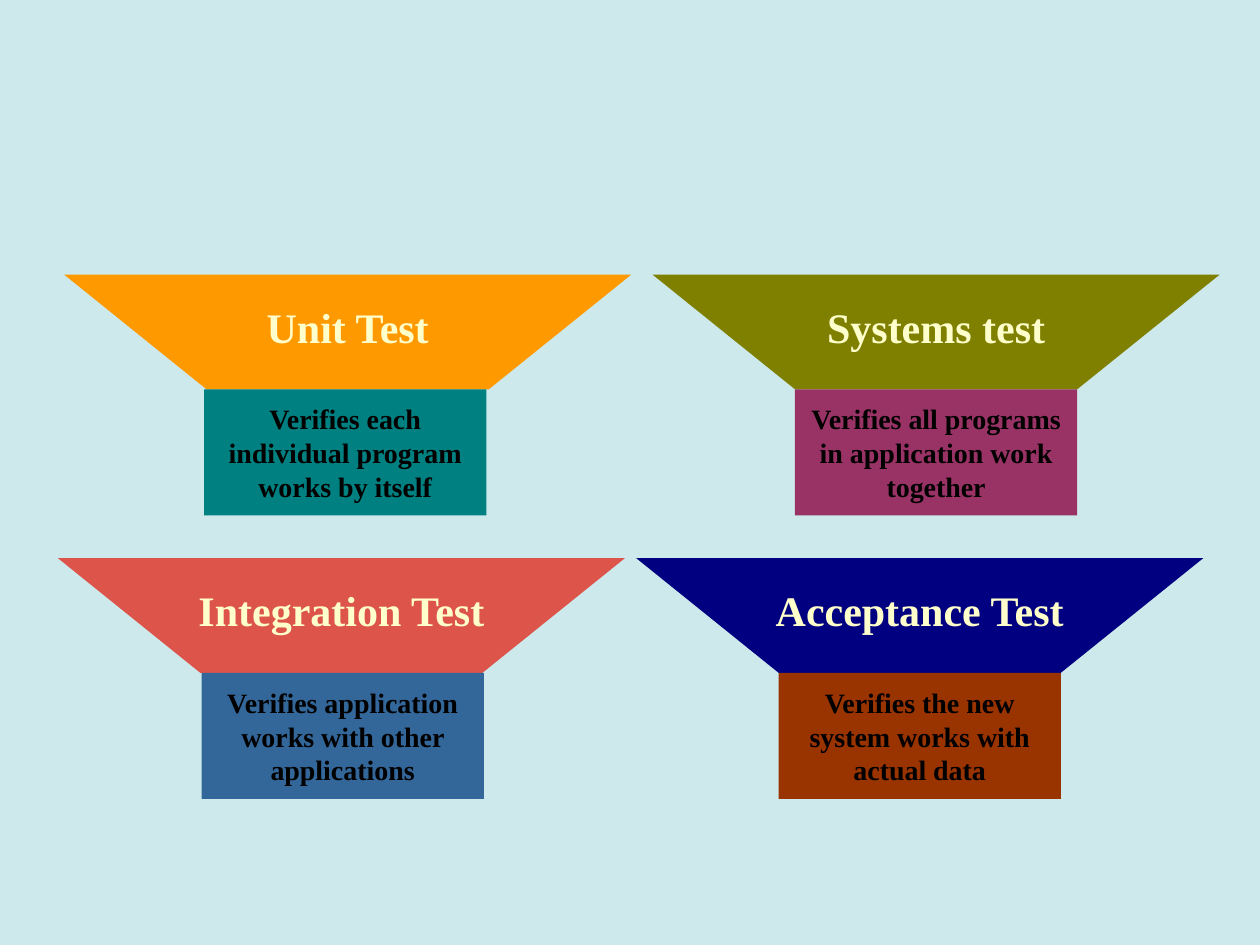
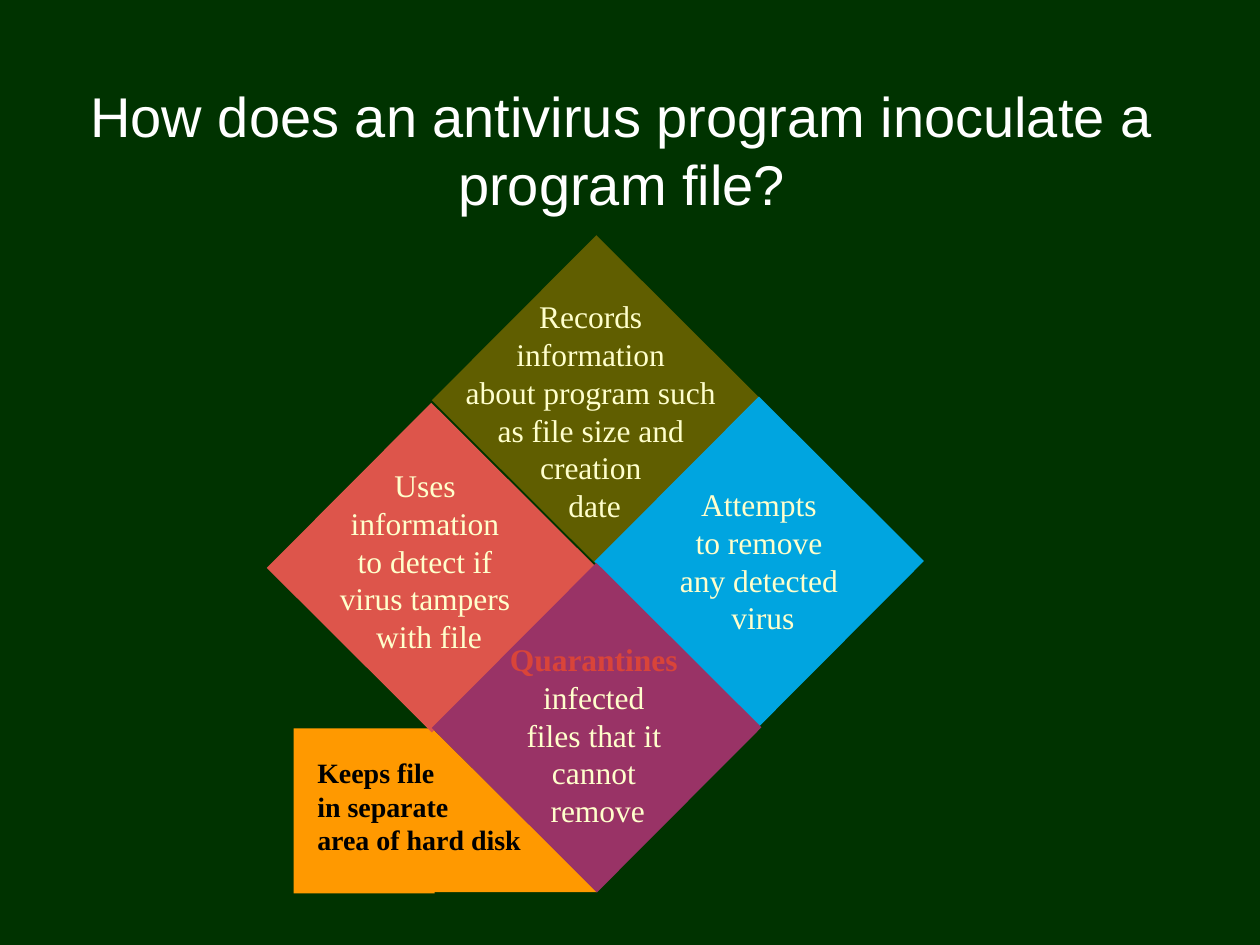
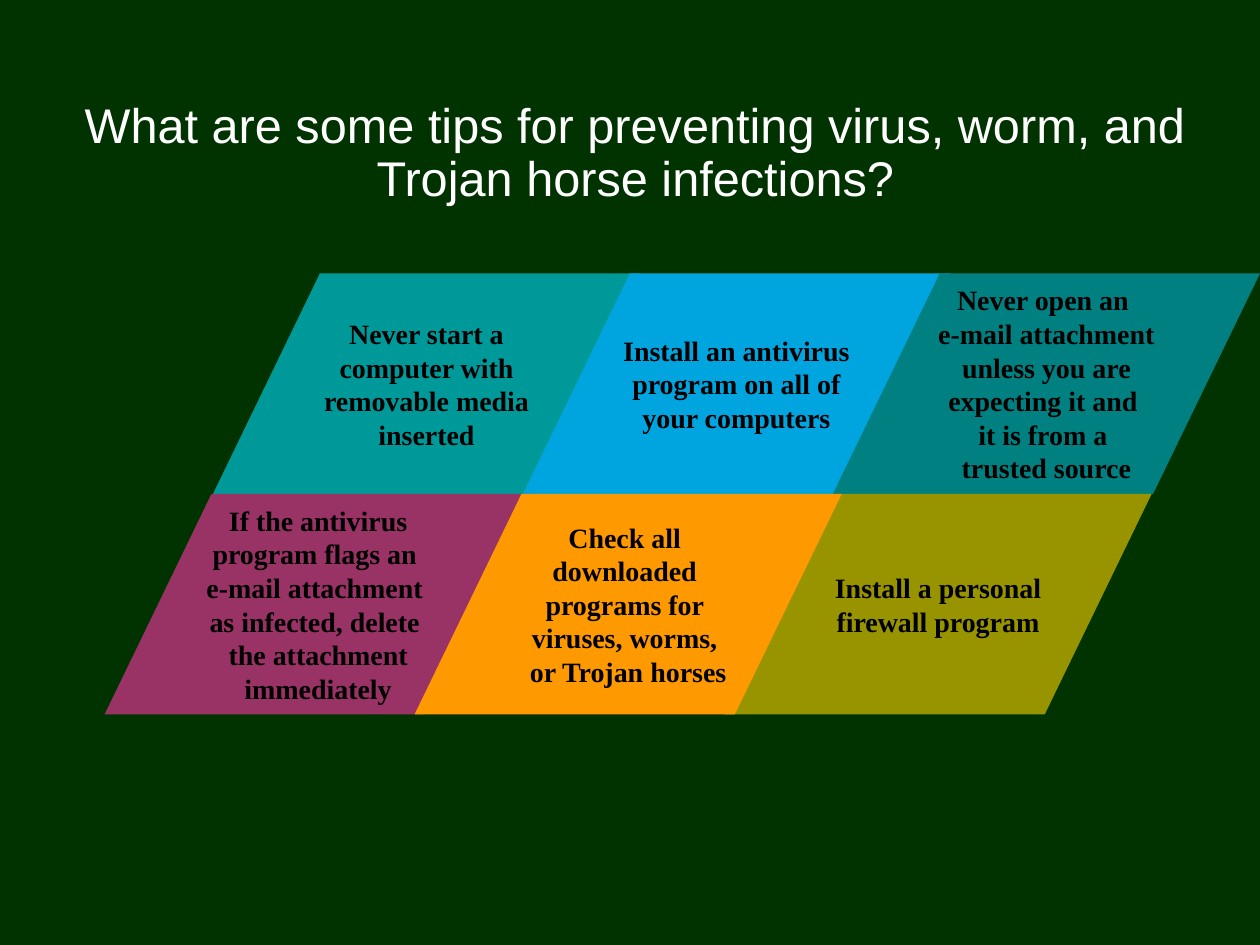
from pptx import Presentation
from pptx.dml.color import RGBColor
from pptx.enum.shapes import MSO_SHAPE
from pptx.enum.text import MSO_ANCHOR, PP_ALIGN
from pptx.util import Inches, Pt

PALE_BLUE = RGBColor(0xCD, 0xE9, 0xEB)
DARK_GREEN = RGBColor(0x00, 0x33, 0x00)
CREAM = RGBColor(0xFF, 0xFF, 0xCC)
WHITE = RGBColor(0xFF, 0xFF, 0xFF)
BLACK = RGBColor(0x00, 0x00, 0x00)
ORANGE = RGBColor(0xFF, 0x99, 0x00)
OLIVE = RGBColor(0x80, 0x80, 0x00)
DARK_OLIVE = RGBColor(0x60, 0x5E, 0x00)
MUSTARD = RGBColor(0x98, 0x94, 0x00)
CORAL = RGBColor(0xDC, 0x54, 0x4A)
LIGHT_CORAL = RGBColor(0xDD, 0x55, 0x4B)
RED = RGBColor(0xD9, 0x44, 0x39)
NAVY = RGBColor(0x00, 0x00, 0x80)
STEEL = RGBColor(0x33, 0x66, 0x99)
SKY = RGBColor(0x00, 0xA5, 0xE0)
TEAL = RGBColor(0x00, 0x80, 0x80)
LIGHT_TEAL = RGBColor(0x00, 0x99, 0x99)
PLUM = RGBColor(0x99, 0x33, 0x66)
BROWN = RGBColor(0x99, 0x33, 0x00)

SERIF = "Times New Roman"
TITLE = {"name": "Arial", "size": Pt(32), "bold": False, "color": WHITE}
SMALL_TITLE = TITLE | {"size": Pt(27.8)}
HEADING = {"name": SERIF, "size": Pt(24), "bold": True, "color": CREAM}
BODY = {"name": SERIF, "size": Pt(16), "bold": True, "color": BLACK}
LABEL = {"name": SERIF, "size": Pt(18), "bold": False, "color": CREAM}
KEYWORD = LABEL | {"bold": True, "color": RED}

INSETS = (0.1, 0.05, 0.1, 0.05)
NO_INSETS = (0, 0, 0, 0)

FUNNELS = [
    (0.51, 2.18, 1.11, ORANGE, "Unit Test", TEAL,
     "Verifies each individual program works by itself"),
    (5.18, 2.18, 1.13, OLIVE, "Systems test", PLUM,
     "Verifies all programs in application work together"),
    (0.46, 4.43, 1.14, CORAL, "Integration Test", STEEL,
     "Verifies application works with other applications"),
    (5.05, 4.43, 1.13, NAVY, "Acceptance Test", BROWN,
     "Verifies the new system works with actual data"),
]

DIAMONDS = [
    (3.81, 2.25, DARK_OLIVE, (-0.23, 0.06, 2.28, 1.9), [
        ("Records \ninformation \nabout program such \nas file size and \ncreation \ndate", LABEL)]),
    (5.1, 3.53, SKY, (-0.1, 0.27, 2.11, 1.3), [
        ("Attempts \nto remove \nany detected \nvirus", LABEL)]),
    (2.5, 3.58, LIGHT_CORAL, (-0.08, 0.07, 1.97, 1.6), [
        ("Uses \ninformation \nto detect if \nvirus tampers \nwith file", LABEL)]),
    (3.81, 4.85, PLUM, (-0.05, 0.18, 1.97, 1.6), [
        ("Quarantines \n", KEYWORD),
        ("infected \nfiles that it \ncannot \nremove", LABEL)]),
]

TIP_ROWS = [
    (1.69, 2.17, [
        (0, LIGHT_TEAL, "Never start a computer with removable media inserted"),
        (1, SKY, "Install an antivirus program on all of your computers"),
        (2, TEAL, "Never open an \ne-mail attachment unless you are expecting it and \n"
                  "it is from a \ntrusted source"),
    ]),
    (0.83, 3.92, [
        (2, MUSTARD, "Install a personal\nfirewall program"),
        (0, PLUM, "If the antivirus program flags an \ne-mail attachment \n"
                  "as infected, delete \nthe attachment immediately"),
        (1, ORANGE, "Check all \ndownloaded \nprograms for \nviruses, worms, \nor Trojan horses"),
    ]),
]


def set_all(obj, formats):
    for name, value in formats.items():
        setattr(obj, name, value)


def write(sp, runs, align=PP_ALIGN.CENTER, anchor=MSO_ANCHOR.TOP, insets=INSETS, spacing=None):
    tf = sp.text_frame
    left, top, right, bottom = map(Inches, insets)
    set_all(tf, {"word_wrap": True, "vertical_anchor": anchor, "margin_left": left,
                 "margin_top": top, "margin_right": right, "margin_bottom": bottom})
    p = tf.paragraphs[0]
    set_all(p, {"alignment": align, "line_spacing": spacing})
    for text, style in runs:
        for i, line in enumerate(text.split("\n")):
            if i:
                p.add_line_break()
            if line:
                r = p.add_run()
                r.text = line
                set_all(r.font, {k: v for k, v in style.items() if k != "color"})
                r.font.color.rgb = style["color"]


def paint(sp, color):
    sp.shadow.inherit = False
    sp.fill.solid()
    sp.fill.fore_color.rgb = color
    sp.line.fill.background()
    return sp


def add_block(s, kind, box, color):
    return paint(s.shapes.add_shape(kind, *map(Inches, box)), color)


def add_text(s, box, runs, **options):
    write(s.shapes.add_textbox(*map(Inches, box)), runs, **options)


def add_slide(prs, color):
    s = prs.slides.add_slide(prs.slide_layouts[6])
    s.background.fill.solid()
    s.background.fill.fore_color.rgb = color
    return s


def add_funnel(s, left, top, neck, color, heading, neck_color, text):
    width, height, slope = 4.5, 0.91, 1.13
    outline = [(left + slope, top + height), (left + width - slope, top + height),
               (left + width, top)]
    builder = s.shapes.build_freeform(Inches(left), Inches(top))
    builder.add_line_segments([(Inches(x), Inches(y)) for x, y in outline], close=True)
    write(paint(builder.convert_to_shape(), color), [(heading, HEADING)],
          insets=(0.1, 0.21, 0.1, 0))
    sp = add_block(s, MSO_SHAPE.RECTANGLE, (left + neck, top + height, 2.24, 1), neck_color)
    write(sp, [(text, BODY)], anchor=MSO_ANCHOR.MIDDLE)


def add_diamond(s, left, top, color, label_box, runs):
    sp = add_block(s, MSO_SHAPE.RECTANGLE, (left, top, 1.85, 1.85), color)
    sp.rotation = 44.9
    dx, dy, width, height = label_box
    add_text(s, (left + dx, top + dy, width, height), runs)


def add_quarantine_note(s, left, top):
    add_block(s, MSO_SHAPE.RIGHT_TRIANGLE, (left + 1.1, top, 1.31, 1.3), ORANGE)
    add_block(s, MSO_SHAPE.RECTANGLE, (left, top, 1.12, 1.31), ORANGE)
    add_text(s, (left + 0.09, top + 0.17, 1.83, 0.9),
             [("Keeps file \nin separate \narea of hard disk", BODY)], align=PP_ALIGN.LEFT)


def add_tip_row(s, left, top, tips):
    for column, color, text in tips:
        sp = add_block(s, MSO_SHAPE.PARALLELOGRAM, (left + column * 2.46, top, 3.39, 1.75), color)
        sp.adjustments[0] = 0.485
        write(sp, [(text, BODY)], anchor=MSO_ANCHOR.MIDDLE, insets=NO_INSETS)


def build_tests(prs):
    s = add_slide(prs, PALE_BLUE)
    for funnel in FUNNELS:
        add_funnel(s, *funnel)


def build_inoculation(prs):
    s = add_slide(prs, DARK_GREEN)
    add_quarantine_note(s, 2.33, 5.78)
    add_text(s, (0.35, 0.6, 9.17, 1.22),
             [("How does an antivirus program inoculate a program file?", TITLE)])
    for diamond in DIAMONDS:
        add_diamond(s, *diamond)


def build_tips(prs):
    s = add_slide(prs, DARK_GREEN)
    add_text(s, (0.35, 0.76, 9.39, 1.06),
             [("What are some tips for preventing virus, worm, and Trojan horse infections?",
               SMALL_TITLE)], spacing=0.9)
    for row in TIP_ROWS:
        add_tip_row(s, *row)


def main():
    prs = Presentation()
    set_all(prs, {"slide_width": Inches(10), "slide_height": Inches(7.5)})
    for build in (build_tests, build_inoculation, build_tips):
        build(prs)
    prs.save("out.pptx")


if __name__ == "__main__":
    main()
